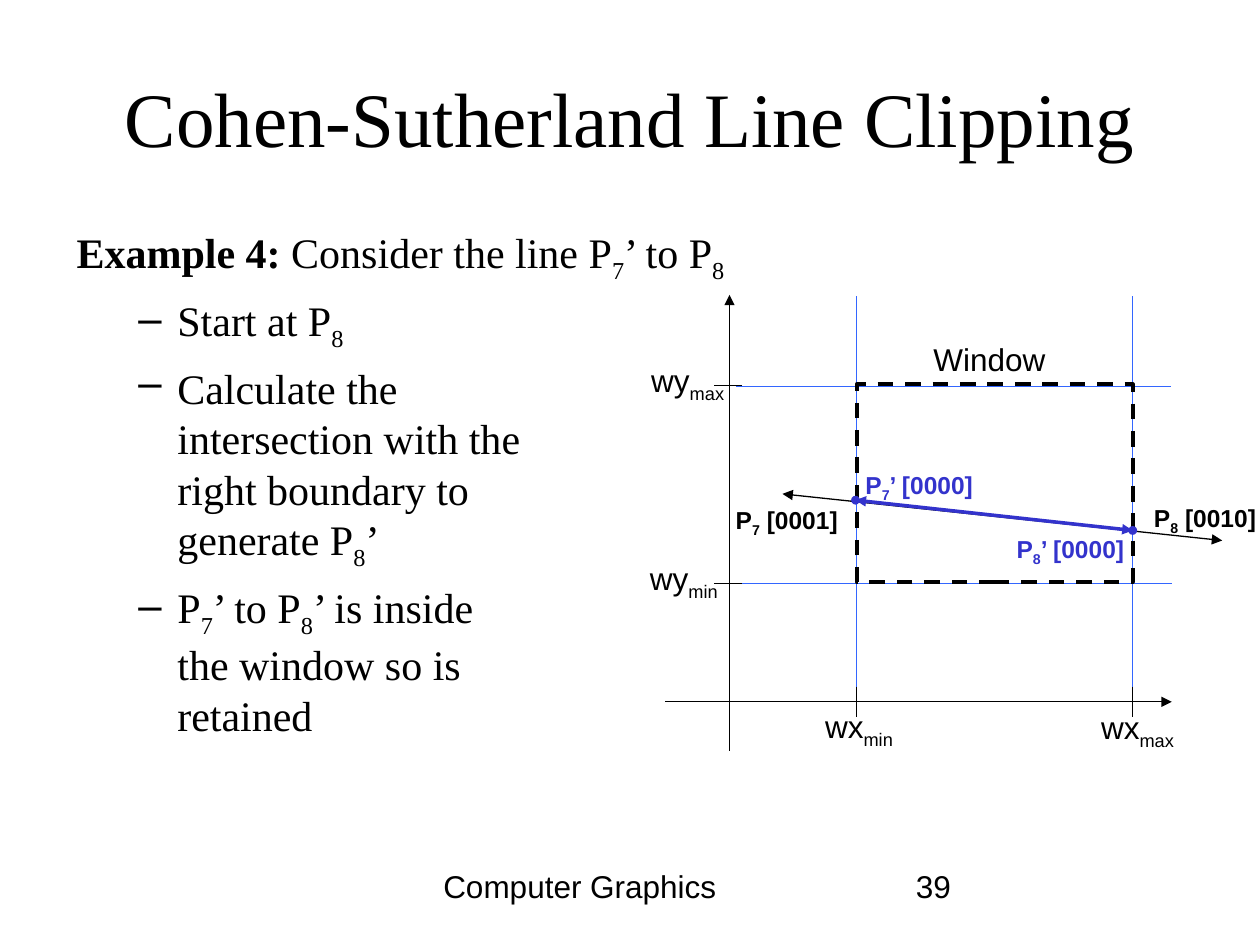
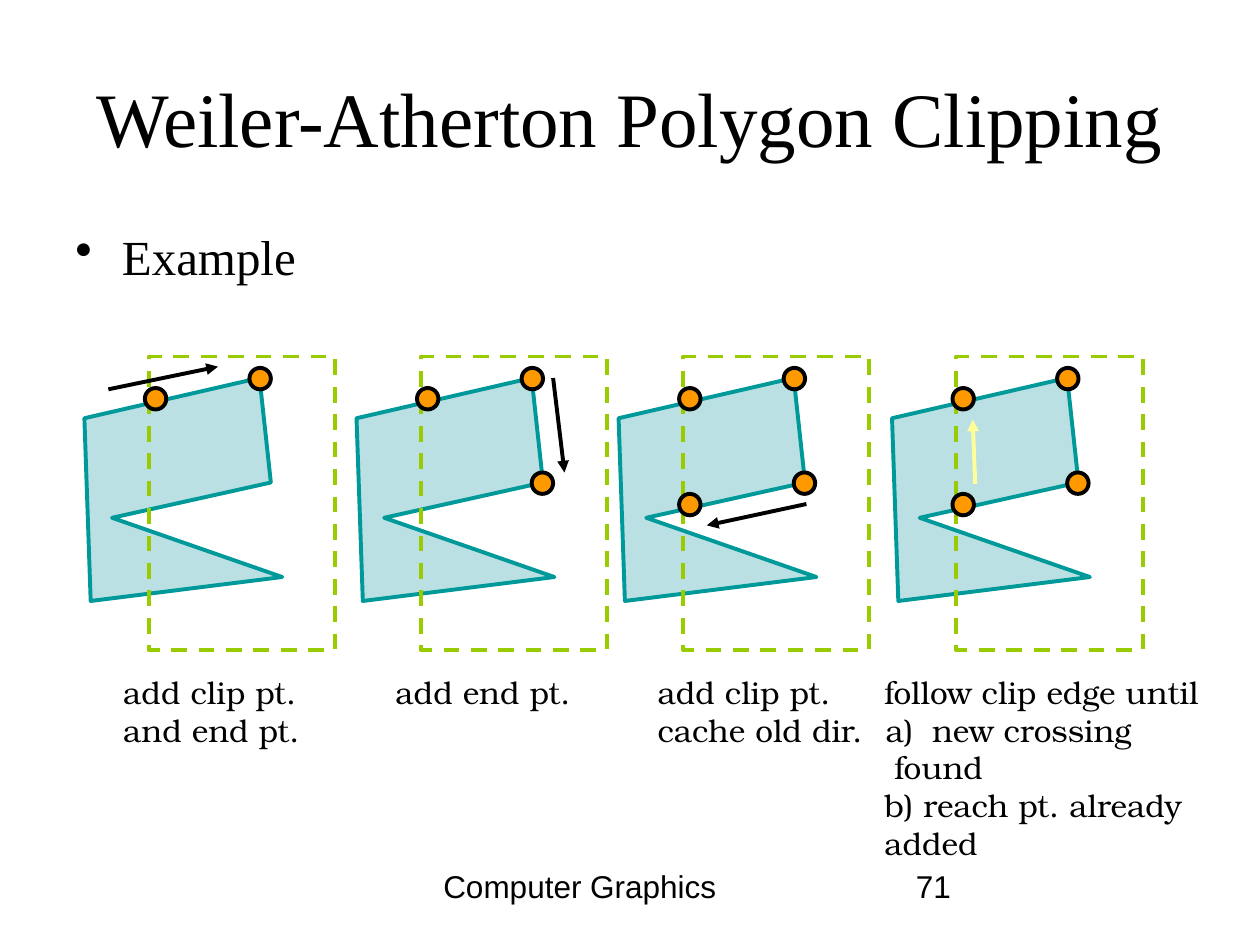
"""Build two slides on line clipping and polygon clipping."""
from dataclasses import dataclass
from typing import Optional

from lxml import etree
from pptx import Presentation
from pptx.dml.color import RGBColor
from pptx.enum.dml import MSO_LINE
from pptx.enum.shapes import MSO_CONNECTOR, MSO_SHAPE
from pptx.enum.text import MSO_ANCHOR, MSO_AUTO_SIZE, PP_ALIGN
from pptx.oxml.ns import qn
from pptx.util import Inches, Pt

BLACK = RGBColor(0x00, 0x00, 0x00)
GUIDE_BLUE = RGBColor(0x33, 0x66, 0xFF)
CLIPPED_BLUE = RGBColor(0x33, 0x33, 0xCC)
POLYGON_FILL = RGBColor(0xBB, 0xE0, 0xE3)
POLYGON_LINE = RGBColor(0x00, 0x99, 0x99)
WINDOW_GREEN = RGBColor(0x99, 0xCC, 0x00)
DOT_ORANGE = RGBColor(0xFF, 0x99, 0x00)
PALE_YELLOW = RGBColor(0xFF, 0xFF, 0x99)

SANS, SERIF, CAPTION_FONT = "Arial", "Times New Roman", "TeX Gyre Bonum"
DASH = MSO_LINE.DASH
RECTANGLE, OVAL = MSO_SHAPE.RECTANGLE, MSO_SHAPE.OVAL
STRAIGHT = MSO_CONNECTOR.STRAIGHT
CENTER, LEFT = PP_ALIGN.CENTER, PP_ALIGN.LEFT
MIDDLE, TOP = MSO_ANCHOR.MIDDLE, MSO_ANCHOR.TOP
FIT_SHAPE = MSO_AUTO_SIZE.SHAPE_TO_FIT_TEXT

Point = tuple[float, float]
Box = tuple[float, float, float, float]


@dataclass(frozen=True)
class Style:
    """Font and alignment of a text."""
    size: float
    font: str
    color: RGBColor = BLACK
    bold: bool = False
    align: PP_ALIGN = LEFT


@dataclass(frozen=True)
class Line:
    """One paragraph; text between bars is subscript."""
    text: str
    lead: str = ""
    margin: float = 0
    indent: float = 0
    bullet: str = ""
    numbering: str = ""
    space_before: float = 0


@dataclass(frozen=True)
class Label:
    """A short text in the window diagram."""
    text: str
    box: Box
    style: Style


@dataclass(frozen=True)
class Stroke:
    """A straight line, with optional arrowheads."""
    start: Point
    end: Point
    color: RGBColor = BLACK
    width: float = 0.75
    head: bool = False
    tail: bool = False


@dataclass(frozen=True)
class Step:
    """One stage of the polygon walk; arrow points are relative to the polygon."""
    left: float
    dots: int
    arrow_start: Point
    arrow_end: Point
    caption: tuple[Line, ...]
    caption_box: Box
    arrow_color: RGBColor = BLACK


TITLE = Style(44, SERIF, align=CENTER)
BODY = Style(24, SERIF)
BULLET = Style(28, SERIF)
PLAIN = Style(18, SANS)
CAPTION = Style(18, CAPTION_FONT)
CODE = Style(14, SANS, bold=True)
CLIPPED_CODE = Style(14, SANS, CLIPPED_BLUE, True)

BODY_BOX = (0.5, 1.75, 9, 4.95)
X_MIN, X_MAX, Y_MAX, Y_MIN = 6.8, 8.99, 3.06, 4.63
CROSSINGS = ((6.79, 3.97), (8.99, 4.21))
CROSSING_SIZE = 0.07

EXAMPLE_LINES = (
    Line("Consider the line P|7|’ to P|8|", "Example 4: ", 0.38, -0.37),
    *(Line(text, margin=0.81, indent=-0.31, bullet="–", space_before=6) for text in (
        "Start at P|8|",
        "Calculate the\nintersection with the\nright boundary to\ngenerate P|8|’",
        "P|7|’ to P|8|’ is inside\nthe window so is\nretained",
    )),
)
GUIDES = (
    Stroke((X_MIN, 2.35), (X_MIN, 5.47), GUIDE_BLUE),
    Stroke((X_MAX, 2.35), (X_MAX, 5.51), GUIDE_BLUE),
    Stroke((9.29, 3.07), (5.84, 3.07), GUIDE_BLUE),
    Stroke((9.3, Y_MIN), (5.88, Y_MIN), GUIDE_BLUE),
)
AXES = (
    Stroke((5.28, 5.57), (9.3, 5.57), tail=True),
    Stroke((5.79, 5.96), (5.79, 2.34), tail=True),
)
TICKS = (
    *(Stroke((5.89, y), (5.67, y)) for y in (Y_MAX, Y_MIN)),
    *(Stroke((x, 5.45), (x, 5.69)) for x in (X_MIN, X_MAX)),
)
LABELS = (
    Label("wy|max|", (5.07, 2.82, 0.78, 0.44), PLAIN),
    Label("wy|min|", (5.06, 4.39, 0.74, 0.44), PLAIN),
    Label("wx|min|", (6.45, 5.56, 0.74, 0.44), PLAIN),
    Label("wx|max|", (8.64, 5.57, 0.78, 0.44), PLAIN),
    Label("Window", (7.31, 2.65, 1.09, 0.4), PLAIN),
    Label("P|7|’ [0000]", (6.77, 3.68, 1.06, 0.37), CLIPPED_CODE),
    Label("P|7| [0001]", (5.74, 3.96, 1.01, 0.37), CODE),
    Label("P|8| [0010]", (9.06, 3.94, 1.01, 0.37), CODE),
    Label("P|8|’ [0000]", (7.97, 4.19, 1.06, 0.37), CLIPPED_CODE),
)

POLYGON_TOP = 3
POLYGON = ((0, 0.32), (1.39, 0), (1.48, 0.83), (0.22, 1.11), (1.57, 1.58), (0.05, 1.77))
DOT_CORNERS = ((0.48, 0.08), (1.31, -0.08), (1.39, 0.75), (0.48, 0.92))
DOT_SIZE = 0.17
STEPS = (
    Step(0.67, 2, (0.19, 0.09), (1.06, -0.09),
         (Line("add clip pt."), Line("and end pt.")), (0.88, 5.29, 1.6, 0.7)),
    Step(2.83, 3, (1.56, 0), (1.65, 0.75),
         (Line("add end pt."),), (3.04, 5.29, 1.59, 0.4)),
    Step(4.91, 4, (1.49, 1), (0.7, 1.17),
         (Line("add clip pt."), Line("cache old dir.")), (5.12, 5.29, 1.85, 0.7)),
    Step(7.08, 4, (0.66, 0.84), (0.64, 0.33),
         (Line("follow clip edge until"),
          Line("new crossing", margin=0.38, indent=-0.37, numbering="alphaLcParenR"),
          Line("found", margin=0.08),
          Line("b) reach pt. already"),
          Line("added")), (6.92, 5.29, 3.45, 1.6), PALE_YELLOW),
)


def inches(values: Box) -> list:
    """Turn plain numbers into lengths."""
    return [Inches(value) for value in values]


def add_runs(paragraph, line: Line) -> None:
    """Write the runs of a line, with its subscripts and line breaks."""
    if line.lead:
        lead = paragraph.add_run()
        lead.text = line.lead
        lead.font.bold = True
    for index, piece in enumerate(line.text.split("|")):
        for row, text in enumerate(piece.split("\n")):
            if row:
                paragraph.add_line_break()
            if text:
                run = paragraph.add_run()
                run.text = text
                if index % 2:
                    run._r.get_or_add_rPr().set("baseline", "-25000")


def format_paragraph(paragraph, line: Line, style: Style) -> None:
    """Set indents, bullet, spacing and font of a paragraph."""
    properties = paragraph._p.get_or_add_pPr()
    properties.set("marL", str(Inches(line.margin)))
    properties.set("indent", str(Inches(line.indent)))
    if line.bullet:
        etree.SubElement(properties, qn("a:buChar"), char=line.bullet)
    elif line.numbering:
        etree.SubElement(properties, qn("a:buAutoNum"), type=line.numbering)
    else:
        etree.SubElement(properties, qn("a:buNone"))
    paragraph.alignment = style.align
    paragraph.space_before = Pt(line.space_before)
    font = paragraph.font
    font.size, font.name, font.bold = Pt(style.size), style.font, style.bold
    font.color.rgb = style.color


def add_text(slide, lines: tuple[Line, ...], box: Box, style: Style,
             wrap: bool = True, anchor: MSO_ANCHOR = TOP) -> None:
    """Add a text box; unwrapped boxes grow with their text."""
    frame = slide.shapes.add_textbox(*inches(box)).text_frame
    frame.word_wrap = wrap
    frame.vertical_anchor = anchor
    if not wrap:
        frame.auto_size = FIT_SHAPE
    for index, line in enumerate(lines):
        paragraph = frame.add_paragraph() if index else frame.paragraphs[0]
        format_paragraph(paragraph, line, style)
        add_runs(paragraph, line)


def paint(shape, fill: Optional[RGBColor], line: Optional[RGBColor],
          dash: Optional[MSO_LINE] = None) -> None:
    """Set fill and outline of a shape and drop its shadow."""
    shape.shadow.inherit = False
    if fill is None:
        shape.fill.background()
    else:
        shape.fill.solid()
        shape.fill.fore_color.rgb = fill
    if line is None:
        shape.line.fill.background()
    else:
        shape.line.color.rgb = line
        shape.line.width = Pt(2.25)
        shape.line.dash_style = dash


def add_stroke(slide, stroke: Stroke) -> None:
    """Draw a straight line with its arrowheads."""
    connector = slide.shapes.add_connector(STRAIGHT, *inches(stroke.start + stroke.end))
    connector.line.color.rgb = stroke.color
    connector.line.width = Pt(stroke.width)
    outline = connector.line._get_or_add_ln()
    for tag, wanted in (("a:headEnd", stroke.head), ("a:tailEnd", stroke.tail)):
        if wanted:
            etree.SubElement(outline, qn(tag), type="triangle")
    etree.SubElement(connector._element.spPr, qn("a:effectLst"))


def add_frame(presentation, title: str, number: str):
    """Add a slide with its title and footer."""
    slide = presentation.slides.add_slide(presentation.slide_layouts[6])
    add_text(slide, (Line(title),), (0.5, 0.3, 9, 1.25), TITLE, anchor=MIDDLE)
    add_text(slide, (Line("Computer Graphics"),), (3.42, 6.83, 3.16, 0.51), PLAIN)
    add_text(slide, (Line(number),), (7.17, 6.83, 2.33, 0.51), PLAIN)
    return slide


def add_line_clipping(presentation) -> None:
    """Build the slide on clipping a line against a window."""
    slide = add_frame(presentation, "Cohen-Sutherland Line Clipping", "39")
    add_text(slide, EXAMPLE_LINES, BODY_BOX, BODY)
    for stroke in GUIDES + AXES:
        add_stroke(slide, stroke)
    window_box = (X_MIN, 3.05, X_MAX - X_MIN, 1.57)
    window = slide.shapes.add_shape(RECTANGLE, *inches(window_box))
    paint(window, None, BLACK, DASH)
    for stroke in TICKS:
        add_stroke(slide, stroke)
    add_stroke(slide, Stroke((6.21, 3.92), (9.7, 4.29), head=True, tail=True))
    for label in LABELS:
        add_text(slide, (Line(label.text),), label.box, label.style, wrap=False)
    for x, y in CROSSINGS:
        corner = (x - CROSSING_SIZE / 2, y - CROSSING_SIZE / 2)
        dot = slide.shapes.add_shape(OVAL, *inches(corner + (CROSSING_SIZE,) * 2))
        paint(dot, CLIPPED_BLUE, None)
    add_stroke(slide, Stroke(*CROSSINGS, CLIPPED_BLUE, 2, head=True, tail=True))


def add_step(slide, step: Step) -> None:
    """Draw the polygon, window, arrow, caption and dots of one stage."""
    def place(point: Point) -> Point:
        """Move a point from the polygon to the slide."""
        return step.left + point[0], POLYGON_TOP + point[1]

    start, *others = [inches(place(point)) for point in POLYGON]
    builder = slide.shapes.build_freeform(*start)
    builder.add_line_segments(others, close=True)
    paint(builder.convert_to_shape(), POLYGON_FILL, POLYGON_LINE)
    window_box = (step.left + 0.51, 2.83, 1.48, 2.33)
    window = slide.shapes.add_shape(RECTANGLE, *inches(window_box))
    paint(window, None, WINDOW_GREEN, DASH)
    add_stroke(slide, Stroke(place(step.arrow_start), place(step.arrow_end),
                             step.arrow_color, 2.25, tail=True))
    add_text(slide, step.caption, step.caption_box, CAPTION, wrap=False)
    for corner in DOT_CORNERS[:step.dots]:
        dot = slide.shapes.add_shape(OVAL, *inches(place(corner) + (DOT_SIZE,) * 2))
        paint(dot, DOT_ORANGE, BLACK)


def add_polygon_clipping(presentation) -> None:
    """Build the slide on clipping a polygon step by step."""
    slide = add_frame(presentation, "Weiler-Atherton Polygon Clipping", "71")
    add_text(slide, (Line("Example", margin=0.37, indent=-0.37, bullet="•"),),
             BODY_BOX, BULLET)
    for step in STEPS:
        add_step(slide, step)


def main() -> None:
    """Build and save the presentation."""
    presentation = Presentation()
    presentation.slide_width, presentation.slide_height = Inches(10), Inches(7.5)
    add_line_clipping(presentation)
    add_polygon_clipping(presentation)
    presentation.save("out.pptx")


if __name__ == "__main__":
    main()
